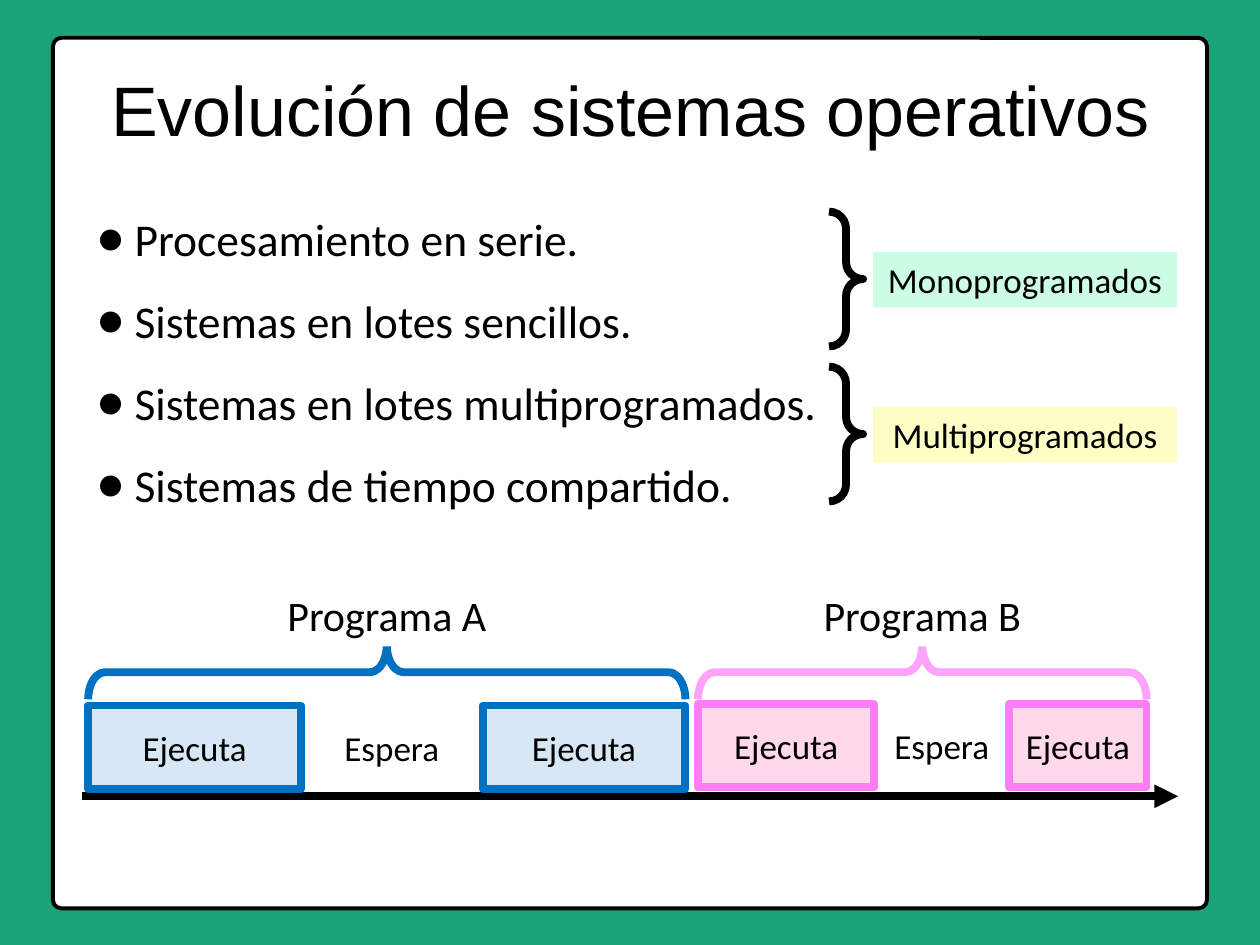
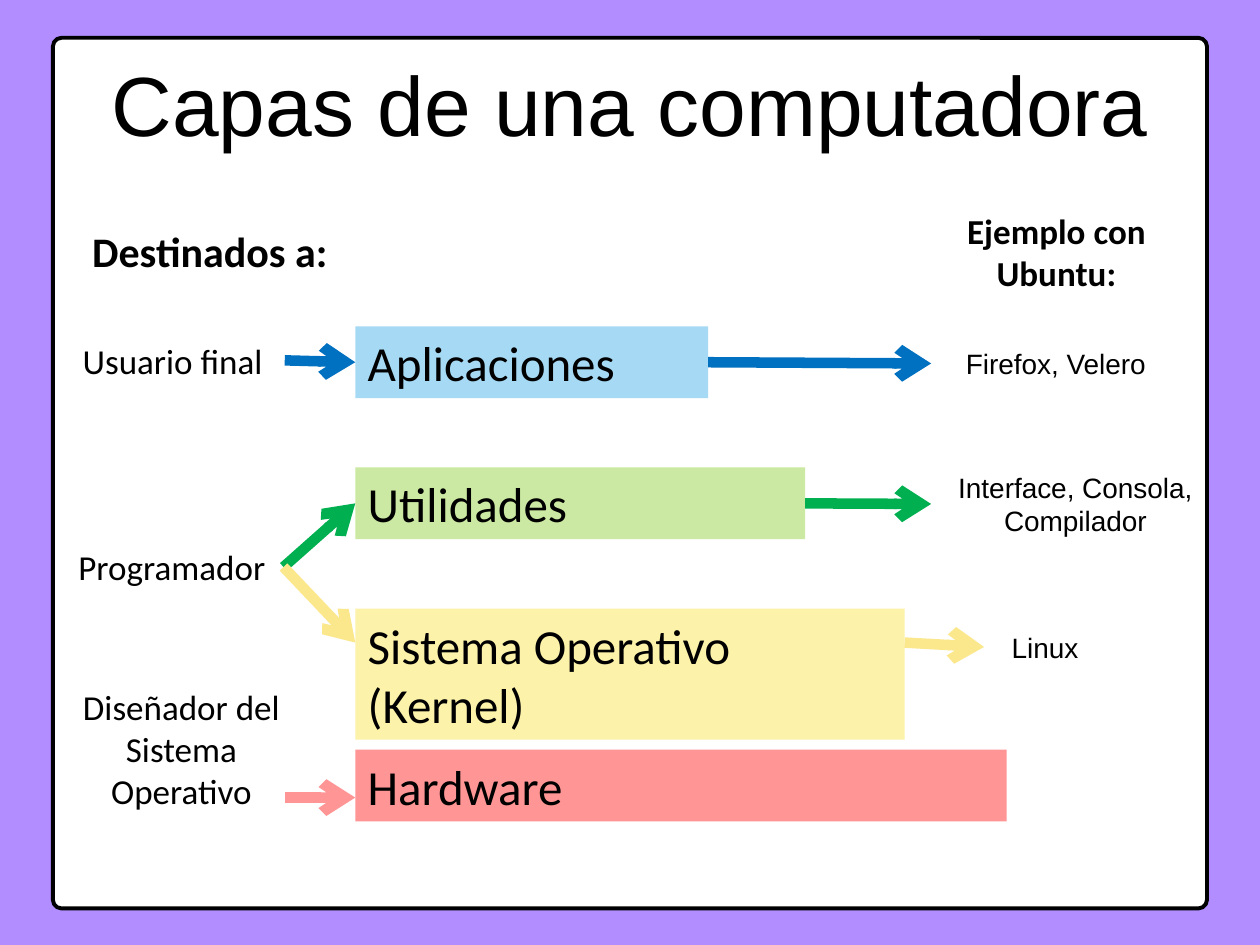
"""Build two slides on operating systems: their evolution and the layers of a computer."""
from dataclasses import dataclass

import lxml.etree
import pptx
import pptx.dml.color
import pptx.enum.shapes
import pptx.enum.text
import pptx.oxml.ns
import pptx.util

Inches = pptx.util.Inches
Shape = pptx.enum.shapes.MSO_SHAPE
Align = pptx.enum.text.PP_ALIGN
qn = pptx.oxml.ns.qn
TOP, LEFT, BOTTOM, RIGHT = range(4)


@dataclass(frozen=True)
class Theme:
    """Colours, fonts and type sizes of the deck."""
    heading_font: str = "Arial"
    body_font: str = "Calibri"
    ink: str = "000000"
    paper: str = "FFFFFF"
    evolution_back: str = "1CA379"
    layers_back: str = "B18DFF"
    mint: str = "CCFDE5"
    cream: str = "FCFEC6"
    blue: str = "0070C0"
    blue_tint: str = "D7E7F5"
    pink: str = "FD7DF6"
    pink_brace: str = "FEA3FB"
    pink_tint: str = "FFD8E9"
    sky: str = "A6DAF4"
    green: str = "00B050"
    lime: str = "CBE9A2"
    gold: str = "FBE78C"
    straw: str = "FCF2AA"
    coral: str = "FF9595"
    title_small: int = 40
    title_large: int = 48
    layer: int = 28
    bullet: int = 26
    heading: int = 24
    label: int = 20
    example: int = 16
    frame_line: float = 2.25
    heavy_line: float = 4.5
    arrow_line: float = 6


THEME = Theme()


@dataclass(frozen=True)
class Box:
    """A rectangle in inches."""
    x: float
    y: float
    w: float
    h: float

    def inner(self, x, y, w, h):
        """Return a box placed relative to this one."""
        return Box(self.x + x, self.y + y, w, h)

    def lengths(self):
        """Return left, top, width and height as lengths."""
        return [Inches(value) for value in (self.x, self.y, self.w, self.h)]


def rgb(colour):
    """Turn a hex string into a colour."""
    return pptx.dml.color.RGBColor.from_string(colour)


def write(shape, text, size, font=THEME.body_font, align=Align.CENTER, bold=False, inset=0.1):
    """Fill a shape with uniformly styled text, one paragraph a line."""
    frame = shape.text_frame
    frame.word_wrap = True
    frame.vertical_anchor = pptx.enum.text.MSO_ANCHOR.MIDDLE
    frame.margin_left = frame.margin_right = Inches(inset)
    frame.margin_top = frame.margin_bottom = Inches(inset / 2)
    frame.text = text
    for paragraph in frame.paragraphs:
        paragraph.alignment = align
        paragraph.font.name = font
        paragraph.font.size = pptx.util.Pt(size)
        paragraph.font.bold = bold
        paragraph.font.color.rgb = rgb(THEME.ink)


def add_text(slide, box, text, size, **style):
    """Add a text box."""
    caption = slide.shapes.add_textbox(*box.lengths())
    write(caption, text, size, **style)
    return caption


def add_block(slide, box, fill=None, stroke=None, width=THEME.heavy_line, kind=Shape.RECTANGLE):
    """Add a preset shape with an optional fill and outline."""
    block = slide.shapes.add_shape(kind, *box.lengths())
    block.shadow.inherit = False
    if fill:
        block.fill.solid()
        block.fill.fore_color.rgb = rgb(fill)
    else:
        block.fill.background()
    if stroke:
        block.line.color.rgb = rgb(stroke)
        block.line.width = pptx.util.Pt(width)
    else:
        block.line.fill.background()
    return block


def add_brace(slide, box, colour, bend, upward=False):
    """Add a brace that points right, or up, and fills the box."""
    if upward:
        box = box.inner((box.w - box.h) / 2, (box.h - box.w) / 2, box.h, box.w)
    brace = add_block(slide, box, stroke=colour, kind=Shape.RIGHT_BRACE)
    brace.adjustments[0] = bend
    brace.rotation = 270 if upward else 0


def add_arrow(slide, start, end, colour, width=THEME.arrow_line, head="arrow",
              source=None, target=None):
    """Add an arrow, joined to the shapes given as source and target."""
    points = [Inches(value) for value in (*start, *end)]
    arrow = slide.shapes.add_connector(pptx.enum.shapes.MSO_CONNECTOR.STRAIGHT, *points)
    if source:
        arrow.begin_connect(source, RIGHT)
    if target:
        arrow.end_connect(target, LEFT)
    arrow.line.color.rgb = rgb(colour)
    arrow.line.width = pptx.util.Pt(width)
    properties = arrow.element.spPr
    lxml.etree.SubElement(properties.find(qn("a:ln")), qn("a:tailEnd"), type=head)
    lxml.etree.SubElement(properties, qn("a:effectLst"))


def add_page(deck, back, title, title_box, title_size):
    """Add a slide with its coloured background, framed sheet and title."""
    slide = deck.slides.add_slide(deck.slide_layouts[6])
    slide.background.fill.solid()
    slide.background.fill.fore_color.rgb = rgb(back)
    sheet = add_block(slide, Box(0.42, 0.3, 9.16, 6.91), THEME.paper, THEME.ink,
                      THEME.frame_line, Shape.ROUNDED_RECTANGLE)
    sheet.adjustments[0] = 0.01
    add_text(slide, title_box, title, title_size, font=THEME.heading_font, inset=0)
    return slide


def add_stages(slide, box):
    """List the stages of operating systems as bullets."""
    stages = ("Procesamiento en serie.", "Sistemas en lotes sencillos.",
              "Sistemas en lotes multiprogramados.", "Sistemas de tiempo compartido.")
    listing = slide.shapes.add_textbox(*box.lengths())
    listing.text_frame.text = "\n".join(stages)
    for paragraph in listing.text_frame.paragraphs:
        properties = paragraph._p.get_or_add_pPr()
        properties.set("marL", str(Inches(0.3)))
        properties.set("indent", str(-Inches(0.3)))
        lxml.etree.SubElement(properties, qn("a:buFont"), typeface=THEME.body_font)
        lxml.etree.SubElement(properties, qn("a:buChar"), char="●")
        paragraph.line_spacing = 1.5
        paragraph.font.name = THEME.body_font
        paragraph.font.size = pptx.util.Pt(THEME.bullet)
        paragraph.font.color.rgb = rgb(THEME.ink)
    listing.text_frame.word_wrap = True


def add_families(slide, box):
    """Brace the stages into families and name each family."""
    families = (("Monoprogramados", THEME.mint), ("Multiprogramados", THEME.cream))
    for row, (family, fill) in enumerate(families):
        top = row * 1.23
        add_brace(slide, box.inner(0, top, 0.27, 1.07), THEME.ink, 0.5)
        tag = add_block(slide, box.inner(0.35, top + 0.32, 2.41, 0.44), fill)
        write(tag, family, THEME.label)


def add_program(slide, box, name, run_widths, fill, stroke, brace_colour):
    """Draw a program as two runs around a wait, under a named brace."""
    run_height = 0.66
    run_top = box.h - run_height
    first, last = run_widths
    for left, width in ((0, first), (box.w - last, last)):
        run = add_block(slide, box.inner(left, run_top, width, run_height), fill, stroke)
        write(run, "Ejecuta", THEME.label, inset=0.05)
    wait = box.inner(first, run_top, box.w - first - last, run_height)
    add_text(slide, wait, "Espera", THEME.label, inset=0.05)
    add_brace(slide, box.inner(0, 0.49, box.w, 0.43), brace_colour, 0.31, upward=True)
    heading = add_block(slide, box.inner((box.w - 1.83) / 2, 0, 1.83, 0.5), THEME.paper)
    write(heading, name, THEME.heading)


def add_timeline(slide, box):
    """Draw the time axis and the programs that run along it."""
    axis = box.y + box.h
    add_arrow(slide, (box.x, axis), (box.x + box.w, axis), THEME.ink, THEME.heavy_line, "triangle")
    add_program(slide, box.inner(0.05, 0, 4.74, 1.63), "Programa A", (1.69, 1.61),
                THEME.blue_tint, THEME.blue, THEME.blue)
    add_program(slide, box.inner(4.89, 0, 3.56, 1.62), "Programa B", (1.4, 1.09),
                THEME.pink_tint, THEME.pink, THEME.pink_brace)


def add_layers(slide, box):
    """Stack the layers of the computer and return their shapes."""
    layers = (("Aplicaciones", 2.8, 0.57, THEME.sky), ("Utilidades", 3.57, 0.57, THEME.lime),
              ("Sistema Operativo (Kernel)", 4.36, 1.04, THEME.straw),
              ("Hardware", 5.17, 0.57, THEME.coral))
    shapes = []
    for row, (name, width, height, fill) in enumerate(layers):
        layer = add_block(slide, box.inner(0, row * 1.12, width, height), fill)
        write(layer, name, THEME.layer, align=Align.LEFT)
        shapes.append(layer)
    return shapes


def add_audience(slide, box, layers):
    """Name who each layer is meant for and point at the layer."""
    applications, utilities = layers[:2]
    add_text(slide, box.inner(0.16, 0, 2.21, 0.5), "Destinados a:", THEME.heading, bold=True)
    add_text(slide, box.inner(0.14, 0.9, 1.66, 0.44), "Usuario final", THEME.label)
    programmer = add_text(slide, box.inner(0.08, 2.54, 1.77, 0.44), "Programador", THEME.label)
    add_text(slide, box.inner(0, 3.65, 2.08, 1.1), "Diseñador del Sistema\nOperativo", THEME.label)
    edge = box.x + box.w
    arrows = ((1.86, 1.12, 1.12, THEME.blue, None, applications),
              (1.85, 2.76, 2.24, THEME.green, programmer, utilities),
              (1.85, 2.76, 3.36, THEME.gold, programmer, None),
              (1.86, 4.59, 4.59, THEME.coral, None, None))
    for left, start, end, colour, source, target in arrows:
        add_arrow(slide, (box.x + left, box.y + start), (edge, box.y + end), colour,
                  source=source, target=target)


def add_examples(slide, box, layers):
    """Give an example of each software layer, joined to it by an arrow."""
    applications, utilities = layers[:2]
    add_text(slide, box.inner(0.04, 0, 1.91, 0.77), "Ejemplo con Ubuntu:", THEME.label, bold=True)
    examples = (("Firefox, Velero", Box(0, 1.09, 1.98, 0.37), -1.77, 1.25, THEME.blue, applications),
                ("Interface, Consola,\nCompilador", Box(0, 2.07, 2.29, 0.64), -1, 2.37,
                 THEME.green, utilities),
                ("Linux", Box(0.42, 3.34, 0.97, 0.37), -0.21, 3.49, THEME.gold, None))
    for text, place, left, top, colour, layer in examples:
        example = add_text(slide, box.inner(place.x, place.y, place.w, place.h), text,
                           THEME.example, font=THEME.heading_font)
        add_arrow(slide, (box.x + left, box.y + top),
                  (box.x + place.x, box.y + place.y + place.h / 2), colour,
                  source=layer, target=example)


def build_evolution(deck):
    """Build the slide on the evolution of operating systems."""
    slide = add_page(deck, THEME.evolution_back, "Evolución de sistemas operativos",
                     Box(0.65, 0.53, 8.7, 0.67), THEME.title_small)
    add_stages(slide, Box(0.67, 1.41, 6.47, 2.7))
    add_families(slide, Box(6.58, 1.68, 2.76, 2.3))
    add_timeline(slide, Box(0.65, 4.63, 8.7, 1.69))


def build_layers(deck):
    """Build the slide on the layers of a computer."""
    slide = add_page(deck, THEME.layers_back, "Capas de una computadora",
                     Box(0.67, 0.42, 8.66, 0.8), THEME.title_large)
    layers = add_layers(slide, Box(2.82, 2.59, 5.17, 3.93))
    add_audience(slide, Box(0.4, 1.74, 2.42, 4.75), layers)
    add_examples(slide, Box(7.39, 1.61, 2.29, 3.71), layers)


def main():
    """Build and save the deck."""
    deck = pptx.Presentation()
    deck.slide_width, deck.slide_height = Inches(10), Inches(7.5)
    build_evolution(deck)
    build_layers(deck)
    deck.save("out.pptx")


if __name__ == "__main__":
    main()
